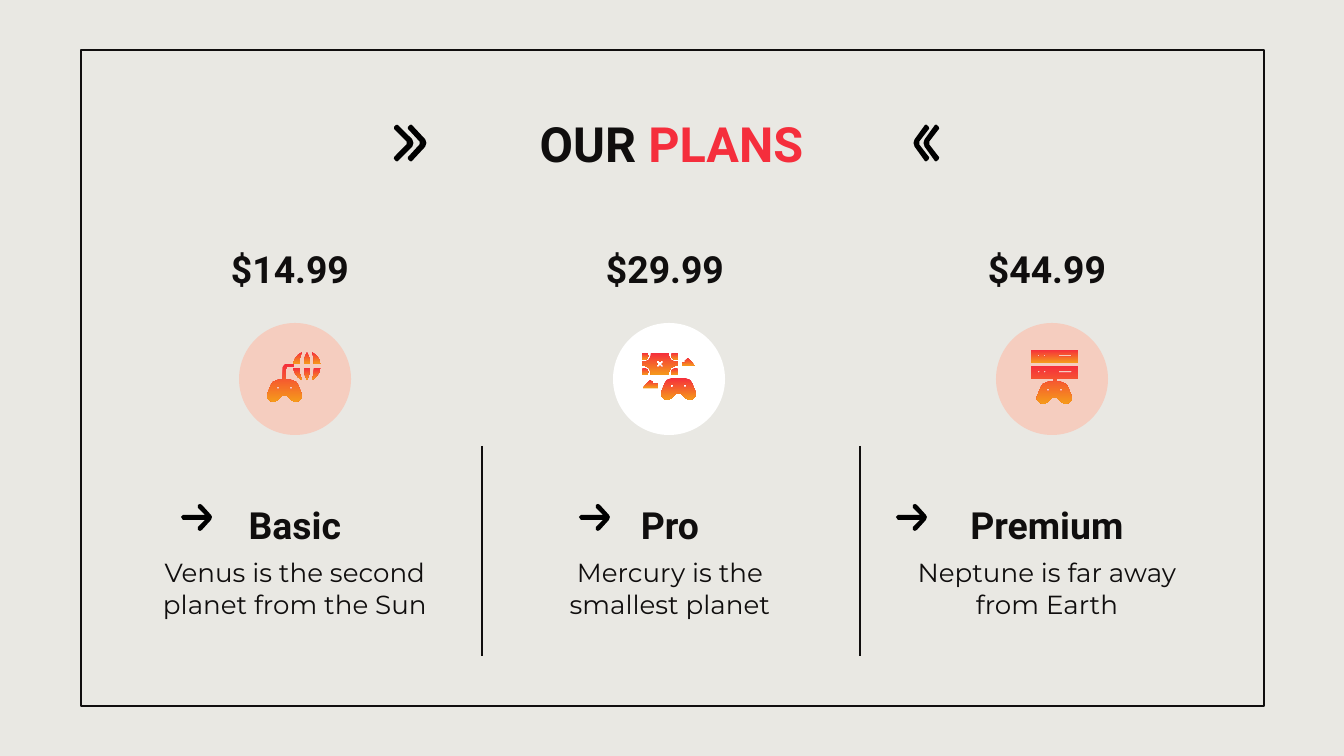
import pptx
import pptx.dml.color
import pptx.enum.shapes
import pptx.enum.text
import pptx.oxml
import pptx.oxml.ns
import pptx.util

RGB = pptx.dml.color.RGBColor
INK = RGB(0x10, 0x0E, 0x0E)
BLACK = RGB(0, 0, 0)
RED = RGB(0xF5, 0x2E, 0x3C)
ORANGE = RGB(0xF5, 0x9A, 0x1B)
PEACH = RGB(0xF5, 0xCD, 0xBF)
WHITE = RGB(0xFF, 0xFF, 0xFF)
PAPER = RGB(0xE9, 0xE8, 0xE3)
PX = 914400 / 134.4

TITLE = [("OUR ", INK), ("PLANS", RED)]
PLANS = [
    dict(price="$14.99", name="Basic", text="Venus is the second planet from the Sun",
         center=295, price_center=290, disc_center=295, disc=PEACH, arrow=181),
    dict(price="$29.99", name="Pro", text="Mercury is the smallest planet",
         center=670, price_center=665, disc_center=669, disc=WHITE, arrow=579),
    dict(price="$44.99", name="Premium", text="Neptune is far away from Earth",
         center=1047, price_center=1047, disc_center=1052, disc=PEACH, arrow=896),
]
DIVIDERS = [482, 860]
CHEVRON_PAIRS = [[(395, 17), (409, 16)], [(928, -13), (938, -13)]]

ARROW = [(19, 0), (21, 1), (30, 11), (31, 13), (30, 16), (21, 26), (19, 27), (17, 26),
         (17, 23), (24, 16), (2, 16), (0, 13), (2, 11), (24, 11), (17, 4), (17, 1)]
CHEVRON = [(0, 2), (2, 0), (16, 14), (17, 17), (16, 20), (2, 34), (0, 32), (13, 19), (13, 15)]
PAD = [(11, 0), (6, 2), (4, 5), (0, 15), (0, 18), (3, 21), (7, 22), (11, 20), (15, 16),
       (20, 16), (24, 20), (28, 22), (32, 21), (35, 18), (35, 15), (31, 5), (29, 2), (24, 0)]
EYE = [(0, -2), (2, 0), (0, 2), (-2, 0)]
CABLE = [(283, 380), (283, 367), (285, 364), (294, 364), (294, 367), (287, 367), (286, 369), (286, 380)]
GLOBE_SIDE = [(5, -14), (9, -11), (12, -7), (14, -2), (7, -2), (7, -8)]
GLOBE_MIDDLE = [(-3, -2), (-2, -9), (0, -14), (2, -9), (3, -2)]
MAP_EDGE = [(-18, -2), (-15, -2), (-11, -4), (-9, -8), (-9, -11)]
MAP_CORNER = [(-18, -11), (-18, -5), (-15, -4), (-12, -6), (-11, -8), (-12, -11)]
CROSS = [(0, -2), (2, -4), (4, -2), (2, 0), (4, 2), (2, 4),
         (0, 2), (-2, 4), (-4, 2), (-2, 0), (-4, -2), (-2, -4)]
PEAKS = [
    [(688, 358), (685, 361), (687, 363), (682, 363), (682, 366), (695, 366)],
    [(650, 380), (643, 388), (658, 388), (658, 384), (651, 384), (653, 382)],
]
SIDES = [(1, 1), (-1, 1), (1, -1), (-1, -1)]


def px(n):
    return pptx.util.Emu(round(n * PX))


def place(points, x, y, sx=1, sy=1):
    return [(x + sx * a, y + sy * b) for a, b in points]


def box(x, y, w, h):
    return [(x, y), (x + w, y), (x + w, y + h), (x, y + h)]


def pad(x, y):
    return [place(PAD, x, y), place(EYE, x + 11, y + 8), place(EYE, x + 24, y + 8)]


def rack(y):
    slots = [box(x, y + 5, w, 2) for x, w in [(1038, 2), (1044, 2), (1059, 13)]]
    return [box(1031, y, 47, 13)] + slots


def map_sheet(x, y):
    outline = []
    for sx, sy in [(1, 1), (-1, 1), (-1, -1), (1, -1)]:
        outline += place(MAP_EDGE[::sx * sy], x, y, sx, sy)
    return [outline, place(CROSS, x, y)]


def outline(shapes, contours, color=None, line=None):
    fb = shapes.build_freeform(*contours[0][0], scale=PX)
    for i, points in enumerate(contours):
        if i:
            fb.move_to(*points[0])
        fb.add_line_segments(points[1:], close=True)
    sp = fb.convert_to_shape()
    sp.shadow.inherit = False
    if color is None:
        sp.fill.gradient()
        sp.fill.gradient_angle = 270
        for stop, rgb, at in zip(sp.fill.gradient_stops, (RED, ORANGE), (0, 1)):
            stop.color.rgb = rgb
            stop.position = at
    else:
        sp.fill.solid()
        sp.fill.fore_color.rgb = color
    if line:
        sp.line.color.rgb = BLACK
        sp.line.width = pptx.util.Pt(line)
    else:
        sp.line.fill.background()


def write(sp, runs, size, font, bold, middle=True):
    tf = sp.text_frame
    tf.word_wrap = True
    tf.auto_size = pptx.enum.text.MSO_AUTO_SIZE.NONE
    anchors = pptx.enum.text.MSO_ANCHOR
    tf.vertical_anchor = anchors.MIDDLE if middle else anchors.TOP
    tf.margin_left = tf.margin_right = tf.margin_top = tf.margin_bottom = pptx.util.Inches(0.1)
    p = tf.paragraphs[0]
    p.alignment = pptx.enum.text.PP_ALIGN.CENTER
    p.line_spacing = 1 if middle else 1.15
    p.space_before = pptx.util.Pt(0)
    for text, color in runs:
        r = p.add_run()
        r.text = text
        r.font.size = pptx.util.Pt(size)
        r.font.name = font
        r.font.bold = bold
        r.font.color.rgb = color


def label(s, center, y, w, h, text, size, font, bold, middle=True):
    sp = s.shapes.add_textbox(px(center - w / 2), px(y), px(w), px(h))
    write(sp, [(text, INK)], size, font, bold, middle)


def main():
    prs = pptx.Presentation()
    prs.slide_width, prs.slide_height = px(1344), px(756)
    s = prs.slides.add_slide(prs.slide_layouts[5])
    s.background.fill.solid()
    s.background.fill.fore_color.rgb = PAPER
    kinds = pptx.enum.shapes.MSO_SHAPE

    frame = s.shapes.add_shape(kinds.RECTANGLE, px(81), px(50), px(1183), px(656))
    frame.shadow.inherit = False
    frame.fill.background()
    frame.line.color.rgb = INK
    frame.line.width = pptx.util.Pt(0.75)

    title = s.shapes.title
    title.left, title.top, title.width, title.height = px(419), px(101), px(505), px(85)
    write(title, TITLE, 26, "Roboto", True)

    for plan in PLANS:
        disc = s.shapes.add_shape(kinds.OVAL, px(plan["disc_center"] - 56), px(323), px(112), px(112))
        disc.shadow.inherit = False
        disc.fill.solid()
        disc.fill.fore_color.rgb = plan["disc"]
        disc.line.fill.background()
        label(s, plan["price_center"], 226, 379, 85, plan["price"], 20, "Roboto", True)
        label(s, plan["center"], 482, 280, 59, plan["name"], 20, "Roboto", True, False)
        label(s, plan["center"], 555, 306, 66, plan["text"], 14, "Montserrat", False)
        outline(s.shapes, [place(ARROW, plan["arrow"], 504)], BLACK)

    for x in DIVIDERS:
        line = s.shapes.add_connector(pptx.enum.shapes.MSO_CONNECTOR.STRAIGHT, px(x), px(446), px(x), px(656))
        line.line.color.rgb = INK
        line.line.width = pptx.util.Pt(0.75)
        pptx.oxml.xmlchemy.OxmlElement("a:effectLst")
        line._element.spPr.append(pptx.oxml.xmlchemy.OxmlElement("a:effectLst"))

    for pair in CHEVRON_PAIRS:
        group = s.shapes.add_group_shape()
        for x, w in pair:
            outline(group.shapes, [place(CHEVRON, x, 126, w / 17)], INK, 1.5)

    globe = [pad(267, 380) + [CABLE]]
    globe += [[place(GLOBE_SIDE, 307, 366, sx, sy)] for sx, sy in SIDES]
    globe += [[place(GLOBE_MIDDLE, 307, 366, 1, sy)] for sy in (1, -1)]
    sheet = [pad(661, 378), map_sheet(660, 364)] + [[peak] for peak in PEAKS]
    sheet += [[place(MAP_CORNER, 660, 364, sx, sy)] for sx, sy in SIDES]
    server = [rack(350), rack(366) + [box(1054, 379, 3, 3)] + pad(1037, 382)]
    for icon in (globe, sheet, server):
        group = s.shapes.add_group_shape()
        for contours in icon:
            outline(group.shapes, contours)

    prs.save("out.pptx")


if __name__ == "__main__":
    main()
